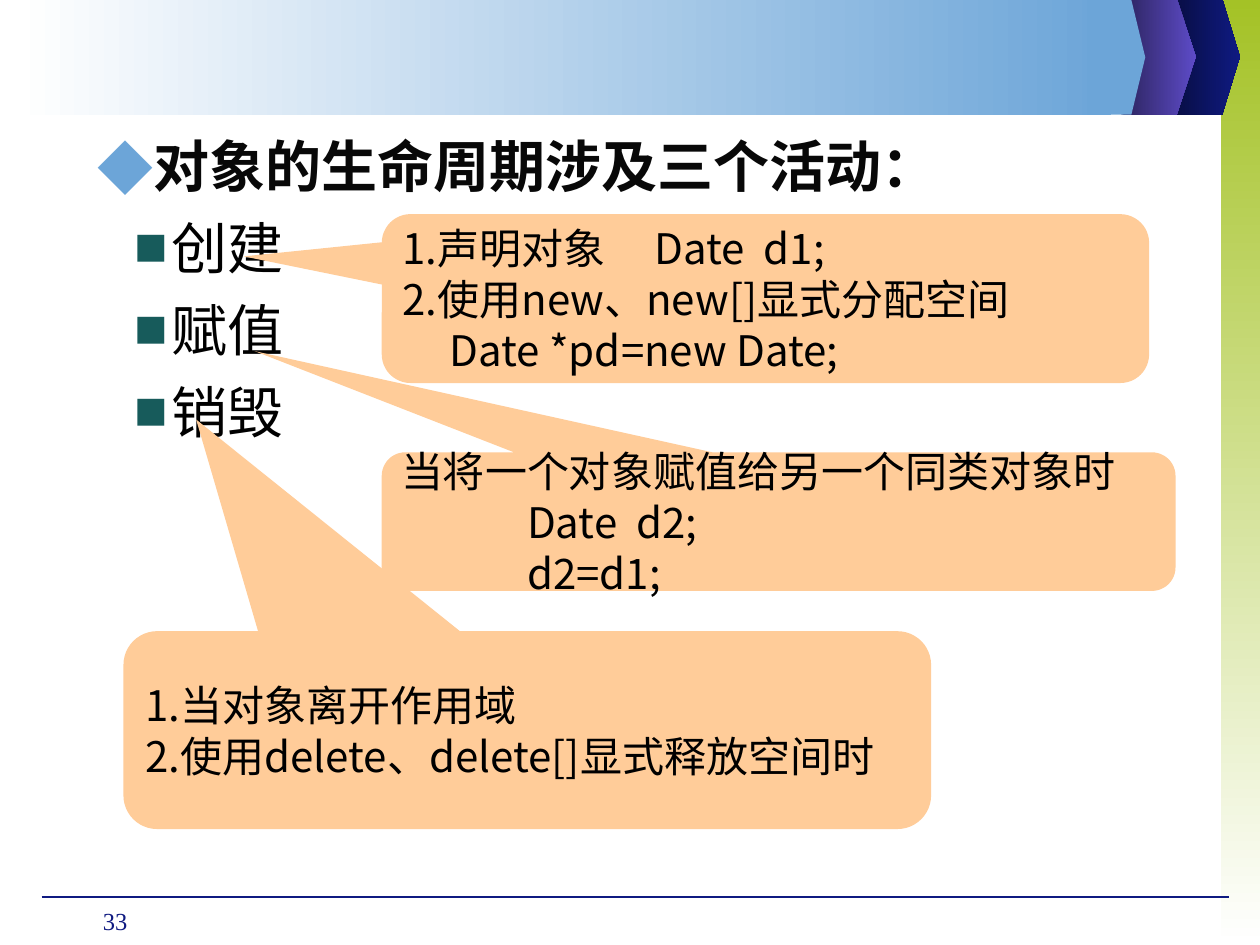
import pptx
import pptx.dml.color
import pptx.enum.shapes
import pptx.enum.text
import pptx.oxml
import pptx.oxml.ns
import pptx.util
from lxml import etree

Inches = pptx.util.Inches
Pt = pptx.util.Pt
RGB = pptx.dml.color.RGBColor
SHAPE = pptx.enum.shapes.MSO_SHAPE
ANCHOR = pptx.enum.text.MSO_ANCHOR
ALIGN = pptx.enum.text.PP_ALIGN
qn = pptx.oxml.ns.qn

GREEN = RGB(0xA4, 0xC2, 0x26)
WHITE = RGB(0xFF, 0xFF, 0xFF)
SKY = RGB(0x6C, 0xA5, 0xD8)
NAVY = RGB(0x0F, 0x1A, 0x81)
DEEP_NAVY = RGB(0x07, 0x0C, 0x3C)
VIOLET = RGB(0x5D, 0x4B, 0xC7)
DEEP_VIOLET = RGB(0x2B, 0x23, 0x5C)
TEAL = RGB(0x17, 0x5B, 0x5B)
PEACH = RGB(0xFF, 0xCC, 0x99)
INK = RGB(0x08, 0x08, 0x08)
BLACK = RGB(0, 0, 0)

SANS = "Noto Sans CJK SC"
SERIF = "Times New Roman"


class Deck:
    heading = {"size": Pt(32), "bold": True, "name": SANS}
    item = {"size": Pt(32), "bold": False, "name": SANS}
    note = {"size": Pt(24), "bold": False, "name": SANS}
    number = {"size": Pt(14), "bold": False, "name": SERIF}

    def __init__(self):
        self.prs = pptx.Presentation()
        self.prs.slide_width = Inches(10)
        self.prs.slide_height = Inches(7.5)
        self.s = self.prs.slides.add_slide(self.prs.slide_layouts[1])
        title = self.s.shapes.title
        title.element.getparent().remove(title.element)

    def box(self, at):
        return [Inches(v) for v in at]

    def sub(self, parent, tag, **attrs):
        child = etree.SubElement(parent, qn(tag))
        for key, value in attrs.items():
            child.set(key, str(value))
        return child

    def paint(self, sp, colours, angle=0):
        sp.shadow.inherit = False
        sp.line.fill.background()
        if len(colours) == 1:
            sp.fill.solid()
            sp.fill.fore_color.rgb = colours[0]
            return
        sp.fill.gradient()
        sp.fill.gradient_angle = angle
        for stop, colour in zip(sp.fill.gradient_stops, colours):
            stop.color.rgb = colour

    def add_text(self, p, text, style, colour):
        r = p.add_run()
        r.text = text
        for key, value in style.items():
            setattr(r.font, key, value)
        r.font.color.rgb = colour
        self.sub(r._r.get_or_add_rPr(), "a:ea", typeface=style["name"])

    def paragraphs(self, tf, count):
        return [tf.paragraphs[0]] + [tf.add_paragraph() for _ in range(count - 1)]

    def band(self, at, colours, angle=0):
        sp = self.s.shapes.add_shape(SHAPE.RECTANGLE, *self.box(at))
        self.paint(sp, colours, angle)

    def chevron(self, left, shoulder, tip, top, colours):
        bottom, middle = 0.91, (top + 0.91) / 2
        builder = self.s.shapes.build_freeform(Inches(left), Inches(top))
        points = [(shoulder, top), (tip, middle), (shoulder, bottom), (left, bottom)]
        builder.add_line_segments([self.box(pt) for pt in points])
        self.paint(builder.convert_to_shape(), colours)

    def rule(self, start, end, colour):
        line = self.s.shapes.add_connector(
            pptx.enum.shapes.MSO_CONNECTOR.STRAIGHT, *self.box(start + end))
        line.line.color.rgb = colour
        line.line.width = Pt(0.75)
        self.sub(line._element.spPr, "a:effectLst")

    def body(self, at, rows):
        sp = self.s.placeholders[1]
        sp.left, sp.top, sp.width, sp.height = self.box(at)
        tf = sp.text_frame
        tf.auto_size = pptx.enum.text.MSO_AUTO_SIZE.NONE
        for i, (p, (text, level)) in enumerate(zip(self.paragraphs(tf, len(rows)), rows)):
            style, colour, char, bullet, size, margin, hang = (
                (self.item, BLACK, "■", TEAL, 60, 0.59, 0.29) if level
                else (self.heading, INK, "◆", SKY, 100, 0.1, 0.1))
            p.level = level
            p.line_spacing = Pt(38.8)
            p.space_before = Pt(8 if i else 0)
            pPr = p._p.get_or_add_pPr()
            pPr.set("marL", str(Inches(margin)))
            pPr.set("indent", str(-Inches(hang)))
            self.sub(self.sub(pPr, "a:buClr"), "a:srgbClr", val=bullet)
            self.sub(pPr, "a:buSzPct", val=size * 1000)
            self.sub(pPr, "a:buFont", typeface=SANS)
            self.sub(pPr, "a:buChar", char=char)
            self.add_text(p, text, style, colour)

    def callout(self, at, pointer, lines, tab=1, pad=0.05, right=0.1):
        sp = self.s.shapes.add_shape(SHAPE.ROUNDED_RECTANGULAR_CALLOUT, *self.box(at))
        for i, value in enumerate(pointer + (0.17,)):
            sp.adjustments[i] = value
        self.paint(sp, [PEACH])
        tf = sp.text_frame
        frame = {"word_wrap": True, "vertical_anchor": ANCHOR.MIDDLE,
                 "margin_left": Inches(0.1), "margin_right": Inches(right),
                 "margin_top": Inches(pad), "margin_bottom": Inches(pad)}
        for key, value in frame.items():
            setattr(tf, key, value)
        for p, text in zip(self.paragraphs(tf, len(lines)), lines):
            p.alignment = ALIGN.LEFT
            p.line_spacing = Pt(29)
            tabs = self.sub(p._p.get_or_add_pPr(), "a:tabLst")
            self.sub(tabs, "a:tab", pos=Inches(tab), algn="l")
            self.add_text(p, text, self.note, BLACK)

    def page_number(self, at, text):
        tf = self.s.shapes.add_textbox(*self.box(at)).text_frame
        tf.word_wrap = True
        p = tf.paragraphs[0]
        p.alignment = ALIGN.RIGHT
        self.add_text(p, text, self.number, NAVY)


def main():
    d = Deck()
    d.band((9.69, 0, 0.31, 7.5), [GREEN, WHITE], 270)
    d.chevron(9.25, 9.7, 9.84, -0.01, [DEEP_NAVY, NAVY])
    d.chevron(8.9, 9.34, 9.49, -0.01, [DEEP_VIOLET, VIOLET])
    d.rule((0.33, 7.12), (9.75, 7.12), NAVY)
    d.band((0.12, 0, 8.7, 0.91), [WHITE, SKY])
    d.chevron(8.63, 8.98, 9.09, 0, [SKY])
    d.body((0.67, 0.99, 8.66, 5.99),
           [("对象的生命周期涉及三个活动：", 0), ("创建", 1), ("赋值", 1), ("销毁", 1)])
    d.callout((3.03, 1.7, 6.09, 1.34), (-0.68, -0.25),
              ["1.声明对象\tDate  d1;", "2.使用new、new[]显式分配空间",
               "     Date *pd=new Date;"], tab=2, pad=0)
    d.callout((0.98, 5.01, 6.41, 1.57), (-0.41, -1.57),
              ["1.当对象离开作用域", "2.使用delete、delete[]显式释放空间时"], right=0.3)
    d.callout((3.03, 3.59, 6.3, 1.1), (-0.66, -1.23),
              ["当将一个对象赋值给另一个同类对象时", "\tDate  d2;", "\td2=d1;"])
    d.page_number((0.43, 7.14, 0.68, 0.36), "33")
    d.prs.save("out.pptx")


if __name__ == "__main__":
    main()
